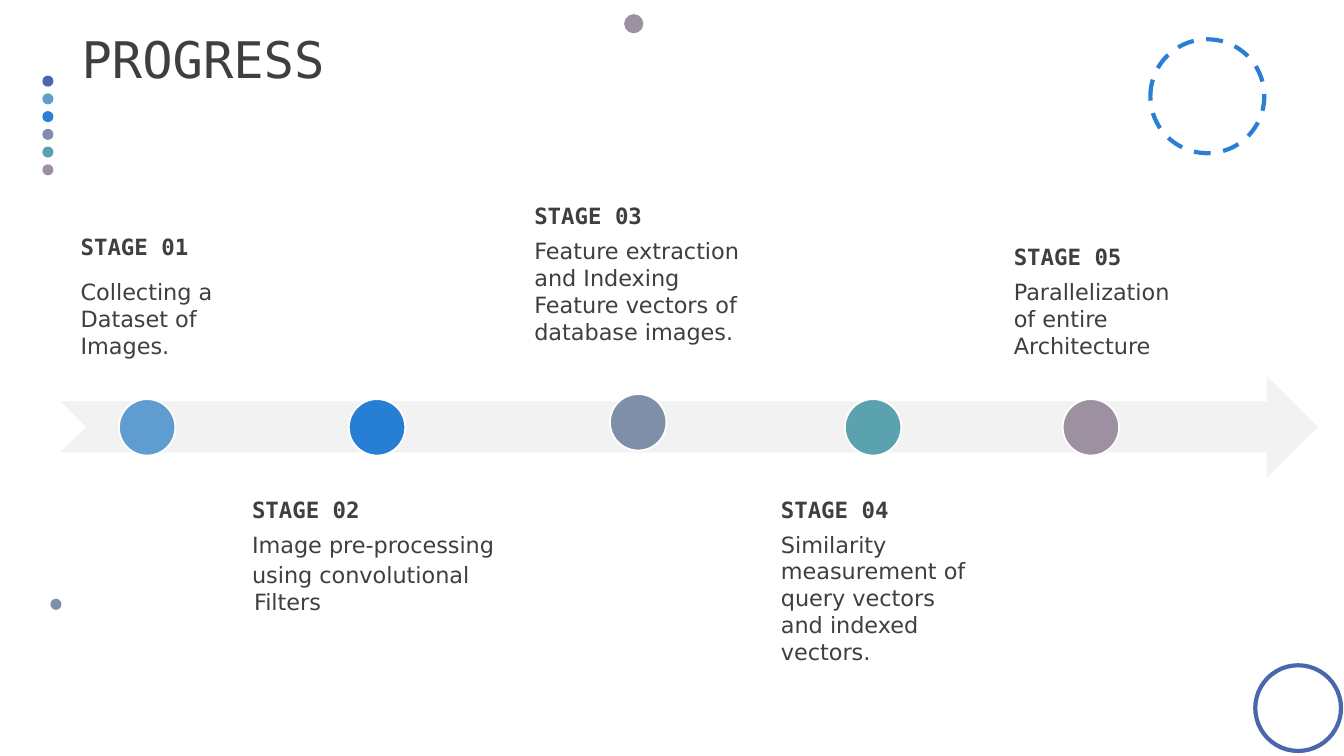
import pptx
import pptx.util
import pptx.dml.color
import pptx.enum.dml
import pptx.enum.shapes
import pptx.enum.text
from dataclasses import dataclass

Inches = pptx.util.Inches
Pt = pptx.util.Pt
SHAPE = pptx.enum.shapes.MSO_SHAPE
ANCHOR = pptx.enum.text.MSO_ANCHOR


@dataclass(frozen=True)
class Theme:
    navy: str = "4A66AC"
    sky: str = "629DD1"
    blue: str = "297FD5"
    slate: str = "7F8FA9"
    teal: str = "5AA2AE"
    mauve: str = "9D90A0"
    pale: str = "5F9DD1"
    bright: str = "267FD5"
    band: str = "F2F2F2"
    white: str = "FFFFFF"
    ink: str = "3F3F3F"
    mono: str = "DejaVu Sans Mono"
    sans: str = "DejaVu Sans"
    title: int = 36
    body: int = 16


THEME = Theme()

# centre, marker top, text top, width, height, left inset, anchor, colour,
# hanging indent, then each body paragraph with its space before
STAGES = [
    (0.86, 0.23, -2.29, 1.72, 2.24, 0.2, ANCHOR.BOTTOM, THEME.pale, 0,
     [("Collecting a Dataset of Images.", 13.2)]),
    (3.14, 0.23, 1.07, 2.72, 2.24, 0.12, ANCHOR.TOP, THEME.bright, 0.02,
     [("Image pre-processing", 5.6), ("using convolutional Filters", 2.4)]),
    (5.73, 0.18, -2.24, 2.34, 2.05, 0.14, ANCHOR.BOTTOM, THEME.slate, 0,
     [("Feature extraction and Indexing Feature vectors of database images.",
       5.6)]),
    (8.06, 0.23, 1.07, 2.21, 2.24, 0.19, ANCHOR.TOP, THEME.teal, 0,
     [("Similarity measurement of query vectors and indexed vectors.", 5.6)]),
    (10.22, 0.23, -2.29, 1.99, 2.24, 0.23, ANCHOR.BOTTOM, THEME.mauve, 0,
     [("Parallelization of entire Architecture", 5.6)]),
]


def tint(code):
    return pptx.dml.color.RGBColor.from_string(code)


def draw(slide, kind, box, fill=None, line=None, width=1):
    shape = slide.shapes.add_shape(kind, *map(Inches, box))
    shape.shadow.inherit = False
    if fill:
        shape.fill.solid()
        shape.fill.fore_color.rgb = tint(fill)
    else:
        shape.fill.background()
    if line:
        shape.line.color.rgb = tint(line)
        shape.line.width = Pt(width)
    else:
        shape.line.fill.background()
    return shape


def frame(slide, box, insets, anchor):
    text = slide.shapes.add_textbox(*map(Inches, box)).text_frame
    text.word_wrap = True
    text.vertical_anchor = anchor
    (text.margin_left, text.margin_top,
     text.margin_right, text.margin_bottom) = map(Inches, insets)
    return text


def style(para, face, size, bold=False):
    for run in para.runs:
        run.font.name = face
        run.font.size = Pt(size)
        run.font.bold = bold
        run.font.color.rgb = tint(THEME.ink)


def add_dots(slide, box):
    # Column of small dots
    left, top, size, height = box
    hues = [THEME.navy, THEME.sky, THEME.blue,
            THEME.slate, THEME.teal, THEME.mauve]
    step = (height - size) / (len(hues) - 1)
    for i, hue in enumerate(hues):
        draw(slide, SHAPE.OVAL, (left, top + i * step, size, size), hue)


def add_decor(slide, box):
    # Rings and loose dots around the page
    left, top, width, height = box
    add_dots(slide, (left + 0.42, top + 0.75, 0.11, 0.99))
    ring = draw(slide, SHAPE.OVAL,
                (left + width - 1.92, top + 0.39, 1.13, 1.13),
                line=THEME.blue, width=3)
    ring.line.dash_style = pptx.enum.dml.MSO_LINE.DASH
    draw(slide, SHAPE.OVAL, (left + 6.19, top + 0.14, 0.19, 0.19), THEME.mauve)
    draw(slide, SHAPE.OVAL, (left + 0.5, top + 5.94, 0.11, 0.11), THEME.slate)
    draw(slide, SHAPE.OVAL,
         (left + width - 0.88, top + height - 0.9, 0.85, 0.85),
         line=THEME.navy, width=3)


def add_title(slide, box):
    text = frame(slide, box, (0, 0.05, 0, 0.05), ANCHOR.MIDDLE)
    text.text = "PROGRESS"
    text.paragraphs[0].line_spacing = 0.9
    style(text.paragraphs[0], THEME.mono, THEME.title)


def add_stage(slide, box, inset, anchor, hang, name, body):
    text = frame(slide, box, (inset, 0.12, 0.12, 0.12), anchor)
    text.text = "\n".join([name] + [line for line, gap in body])
    head, *rest = text.paragraphs
    style(head, THEME.mono, THEME.body, True)
    for para, (line, gap) in zip(rest, body):
        para.space_before = Pt(gap)
        style(para, THEME.sans, THEME.body)
    if hang:
        for para in text.paragraphs:
            props = para._p.get_or_add_pPr()
            props.set("marL", str(Inches(hang)))
            props.set("indent", str(-Inches(hang)))


def add_timeline(slide, box):
    # Arrow band, with each text centred on its marker
    left, top, width, height = box
    draw(slide, SHAPE.NOTCHED_RIGHT_ARROW, box, THEME.band)
    size = 0.56
    for i, stage in enumerate(STAGES, 1):
        mid, drop, rise, wide, high, inset, anchor, hue, hang, body = stage
        add_stage(slide, (left + mid - wide / 2, top + rise, wide, high),
                  inset, anchor, hang, f"STAGE {i:02}", body)
        draw(slide, SHAPE.OVAL,
             (left + mid - size / 2, top + drop, size, size),
             hue, THEME.white, 1.25)


def main():
    deck = pptx.Presentation()
    deck.slide_width = Inches(13.33)
    deck.slide_height = Inches(7.5)
    slide = deck.slides.add_slide(deck.slide_layouts[6])
    add_decor(slide, (0, 0, 13.33, 7.5))
    add_timeline(slide, (0.6, 3.73, 12.47, 1.01))
    add_title(slide, (0.81, 0.18, 11, 0.87))
    deck.save("out.pptx")


if __name__ == "__main__":
    main()
